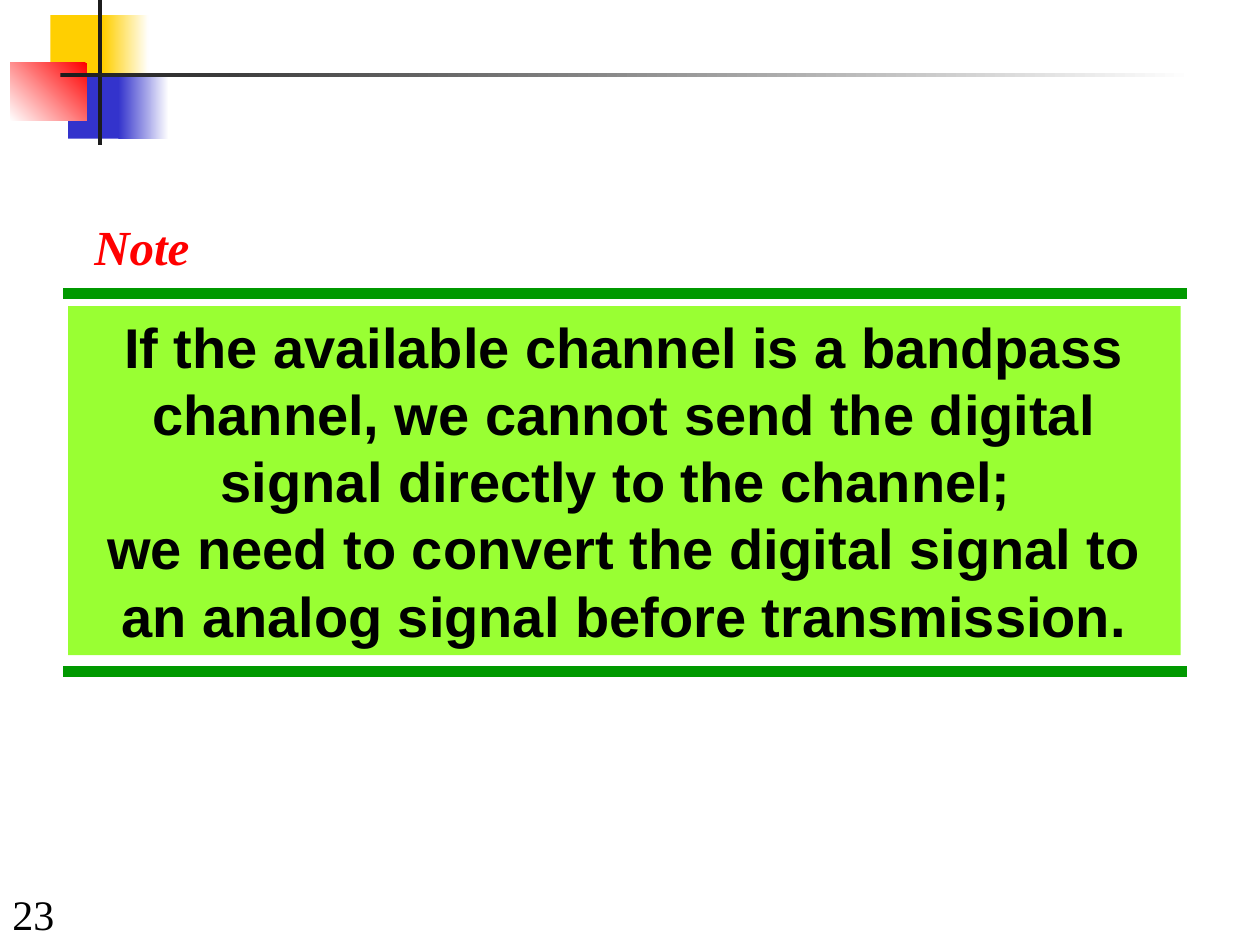
from pptx import Presentation
from pptx.dml.color import RGBColor
from pptx.enum.shapes import MSO_CONNECTOR, MSO_SHAPE
from pptx.enum.text import MSO_ANCHOR, PP_ALIGN
from pptx.oxml.ns import qn
from pptx.util import Inches, Pt
from lxml.etree import SubElement

WHITE = RGBColor(0xFF, 0xFF, 0xFF)
BLACK = RGBColor(0x00, 0x00, 0x00)
CHARCOAL = RGBColor(0x1C, 0x1C, 0x1C)
YELLOW = RGBColor(0xFF, 0xCF, 0x01)
BLUE = RGBColor(0x33, 0x33, 0xCC)
RED = RGBColor(0xFF, 0x00, 0x00)
GREEN = RGBColor(0x00, 0x99, 0x00)
LIME = RGBColor(0x99, 0xFF, 0x33)

prs = Presentation()
prs.slide_width, prs.slide_height = Inches(10), Inches(7.5)
slide = prs.slides.add_slide(prs.slide_layouts[6])


def add_block(left, top, width, height, color, fade_angle=None):
    """Add a borderless rectangle, solid or fading from color to white."""
    block = slide.shapes.add_shape(MSO_SHAPE.RECTANGLE, Inches(left), Inches(top),
                                   Inches(width), Inches(height))
    block.shadow.inherit = False
    block.line.fill.background()
    if fade_angle is None:
        block.fill.solid()
        block.fill.fore_color.rgb = color
    else:
        block.fill.gradient()
        block.fill.gradient_angle = fade_angle
        for stop, stop_color in zip(block.fill.gradient_stops, (color, WHITE)):
            stop.color.rgb = stop_color
    return block


def write_text(shape, text, font_name, size, color, bold=False, italic=False):
    paragraph = shape.text_frame.paragraphs[0]
    paragraph.text = text
    font = paragraph.font
    font.name, font.size, font.bold, font.italic = font_name, Pt(size), bold, italic
    font.color.rgb = color
    return paragraph


# Slide number
page_number = slide.shapes.add_textbox(Inches(0), Inches(7), Inches(2.08), Inches(0.5))
page_number.text_frame.word_wrap = True
page_number.text_frame.vertical_anchor = MSO_ANCHOR.BOTTOM
write_text(page_number, "23", "Times New Roman", 24, BLACK)

# Corner ornament: left, top, width, height, color, fade angle
for ornament in (
    (0.4, 0.12, 0.48, 0.52, YELLOW),
    (0.82, 0.12, 0.36, 0.52, YELLOW, 0),
    (0.54, 0.58, 0.46, 0.52, BLUE),
    (0.94, 0.58, 0.4, 0.52, BLUE, 0),
    (0.08, 0.5, 0.61, 0.46, RED, 225),
    (0.78, 0, 0.03, 1.15, CHARCOAL),
    (0.48, 0.58, 9, 0.03, CHARCOAL, 0),
):
    add_block(*ornament)

# Green rules above and below the note
for rule_y in (2.33, 5.33):
    rule = slide.shapes.add_connector(MSO_CONNECTOR.STRAIGHT, Inches(0.5), Inches(rule_y),
                                      Inches(9.42), Inches(rule_y))
    rule.line.color.rgb = GREEN
    rule.line.width = Pt(6)
    SubElement(rule.element.spPr, qn("a:effectLst"))

# Note body
note = add_block(0.54, 2.43, 8.83, 2.77, LIME)
note.text_frame.word_wrap = True
note.text_frame.vertical_anchor = MSO_ANCHOR.TOP
note_text = write_text(
    note,
    "If the available channel is a bandpass channel, we cannot send the digital "
    "signal directly to the channel; \v"
    "we need to convert the digital signal to an analog signal before transmission.",
    "Arial", 32, BLACK, bold=True)
note_text.alignment = PP_ALIGN.CENTER

# Note heading
heading = slide.shapes.add_textbox(Inches(0.65), Inches(1.67), Inches(0.96), Inches(0.57))
write_text(heading, "Note", "Times New Roman", 28, RED, bold=True, italic=True)

prs.save("out.pptx")
